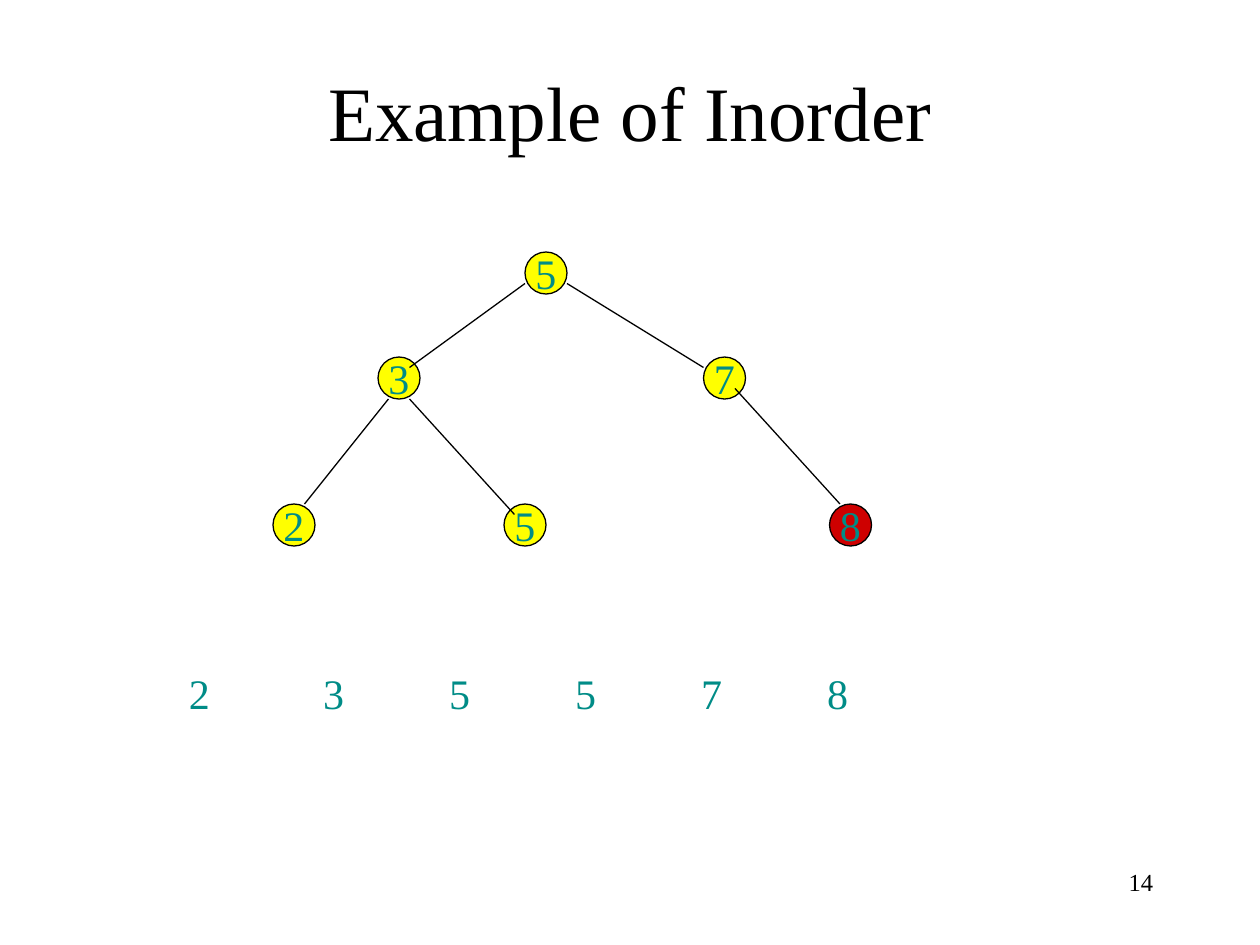
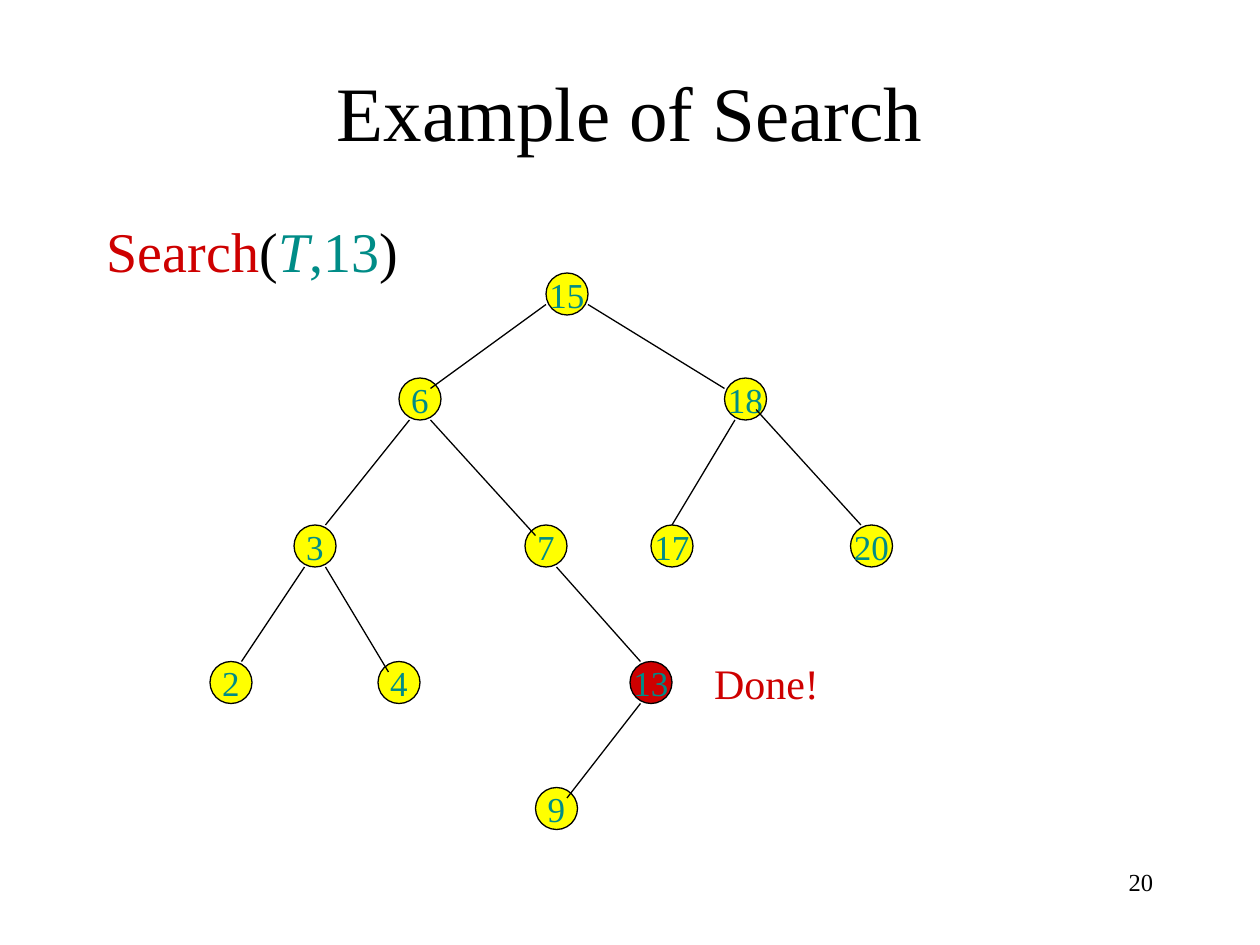
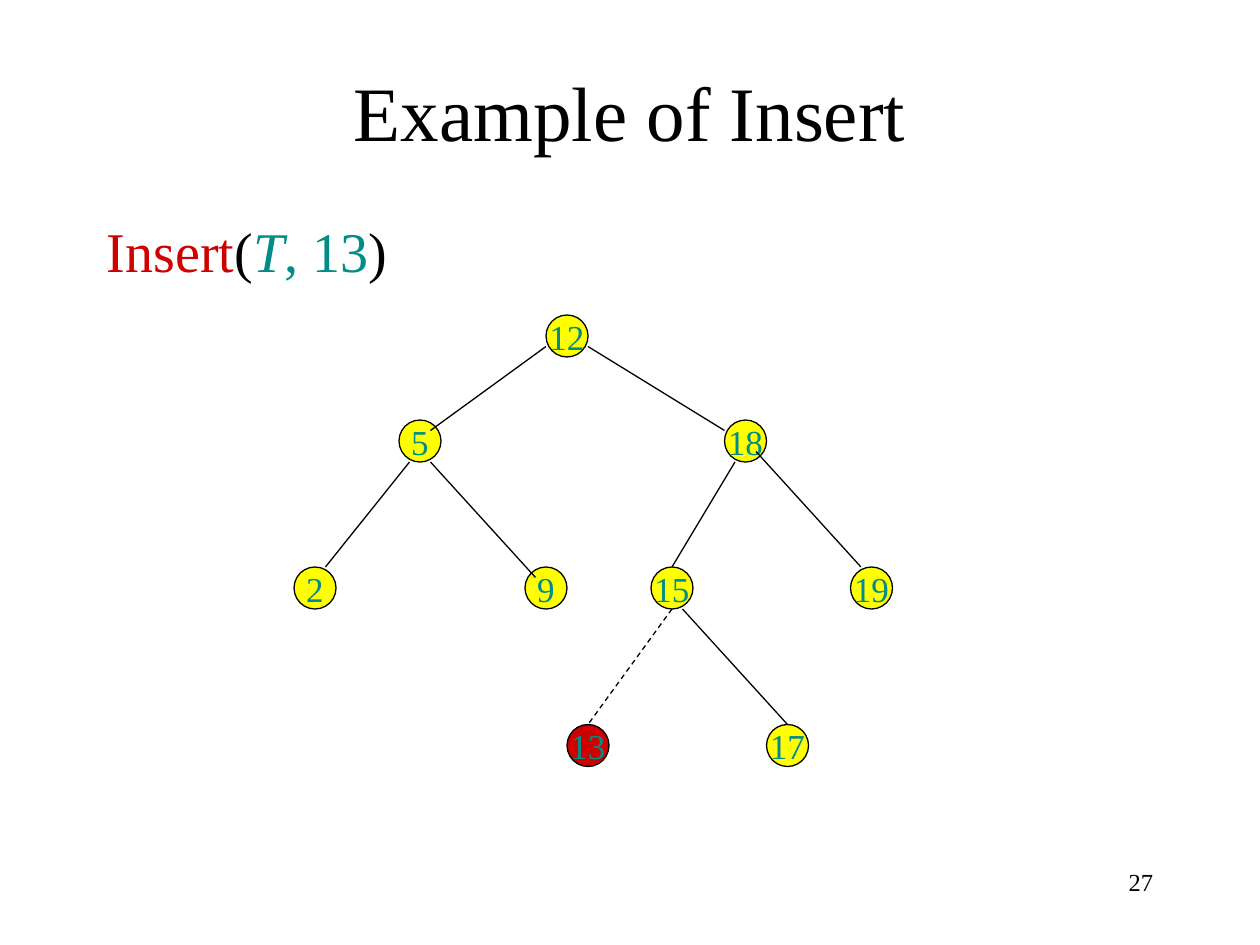
"""Build three slides that show operations on binary search trees."""
from dataclasses import dataclass, field
from typing import NamedTuple

from lxml.etree import SubElement
from pptx import Presentation
from pptx.dml.color import RGBColor
from pptx.enum.dml import MSO_LINE_DASH_STYLE as Dash
from pptx.enum.shapes import MSO_CONNECTOR as Connector, MSO_SHAPE as Preset
from pptx.enum.text import MSO_ANCHOR as Anchor, PP_ALIGN as Align
from pptx.oxml.ns import qn
from pptx.util import Inches, Pt

FONT = "Times New Roman"
BLACK, YELLOW, RED, TEAL = "000000", "FFFF00", "CE0000", "008C87"
UNITS_PER_INCH = 12
NODE_SIZE = 4
LINE_WIDTH = 0.75


class Point(NamedTuple):
    """A column and a row on the grid."""
    column: float
    row: float


class Box(NamedTuple):
    """A rectangle on the grid."""
    column: float
    row: float
    columns: float
    rows: float


class Span(NamedTuple):
    """A piece of text in one style."""
    text: str
    color: str = BLACK
    italic: bool = False


class Edge(NamedTuple):
    """A line to a node from its parent, measured from the root."""
    start: Point
    end: Point


class Slot(NamedTuple):
    """A node's place, measured from the root, and the edge to it."""
    place: Point
    edge: Edge | None = None


@dataclass
class Tree:
    """The keys in the slots of a tree and how they are drawn."""
    root: Point
    font_size: int
    keys: dict[str, int]
    marked: str
    dashed: str = ""


@dataclass
class Label:
    """A short text beside or below the tree."""
    text: str
    box: Box
    color: str = TEAL


@dataclass
class TreeSlide:
    """The content of one slide."""
    title: str
    number: int
    tree: Tree
    call: list[Span] = field(default_factory=list)
    labels: list[Label] = field(default_factory=list)


TITLE_BOX = Box(9, 3, 102, 15)
CALL_BOX = Box(9, 20, 102, 60)
NUMBER_BOX = Box(86, 82, 25, 6)


def slot(place: tuple, start: tuple, end: tuple) -> Slot:
    """Return a slot below the root with its edge."""
    return Slot(Point(*place), Edge(Point(*start), Point(*end)))


SLOTS = {
    "root": Slot(Point(0, 0)),
    "left": slot((-14, 10), (0, 3), (-11, 11)),
    "right": slot((17, 10), (4, 3), (17, 11)),
    "left.left": slot((-24, 24), (-13, 14), (-21, 24)),
    "left.right": slot((-2, 24), (-11, 14), (-1, 25)),
    "right.left": slot((10, 24), (18, 14), (12, 24)),
    "right.right": slot((29, 24), (20, 13), (30, 24)),
    "left.left.left": slot((-32, 37), (-23, 28), (-29, 37)),
    "left.left.right": slot((-16, 37), (-21, 28), (-15, 38)),
    "left.right.right": slot((8, 37), (1, 28), (9, 37)),
    "left.right.right.left": slot((-1, 49), (9, 41), (2, 50)),
    "right.left.left": slot((2, 39), (12, 28), (4, 39)),
    "right.left.right": slot((21, 39), (13, 28), (23, 39)),
}


def visit_labels(keys: list[int]) -> list[Label]:
    """Return the visited keys in a row below the tree."""
    columns = [16.8] + [29.6 + 12 * index for index in range(len(keys) - 1)]
    return [Label(str(key), Box(column, 63, 4.3, 6)) for key, column in zip(keys, columns)]


def call_spans(name: str, key: str) -> list[Span]:
    """Return the coloured parts of an operation's call."""
    return [Span(name, RED), Span("("), Span("T", TEAL, True), Span(key, TEAL), Span(")")]


SLIDES = [
    TreeSlide(
        "Example of Inorder", 14,
        Tree(Point(50, 24), 24,
             {"root": 5, "left": 3, "right": 7, "left.left": 2, "left.right": 5, "right.right": 8},
             marked="right.right"),
        labels=visit_labels([2, 3, 5, 5, 7, 8]),
    ),
    TreeSlide(
        "Example of Search", 20,
        Tree(Point(52, 26), 20,
             {"root": 15, "left": 6, "right": 18, "left.left": 3, "left.right": 7,
              "right.left": 17, "right.right": 20, "left.left.left": 2, "left.left.right": 4,
              "left.right.right": 13, "left.right.right.left": 9},
             marked="left.right.right"),
        call_spans("Search", ",13"),
        [Label("Done!", Box(66.8, 62, 12.4, 6), RED)],
    ),
    TreeSlide(
        "Example of Insert", 27,
        Tree(Point(52, 30), 20,
             {"root": 12, "left": 5, "right": 18, "left.left": 2, "left.right": 9,
              "right.left": 15, "right.right": 19, "right.left.left": 13, "right.left.right": 17},
             marked="right.left.left", dashed="right.left.left"),
        call_spans("Insert", ", 13"),
    ),
]


def color_of(value: str) -> RGBColor:
    """Turn a hex string into a colour."""
    return RGBColor.from_string(value)


def lengths(*units: float) -> list[int]:
    """Turn grid units into slide lengths."""
    return [Inches(unit / UNITS_PER_INCH) for unit in units]


def shifted(point: Point, origin: Point) -> Point:
    """Return a point measured from the slide's corner."""
    return Point(origin.column + point.column, origin.row + point.row)


def write(shape, spans: list[Span], size: int, align: Align, anchor: Anchor, wrap: bool) -> None:
    """Write one paragraph of styled text into a shape."""
    frame = shape.text_frame
    frame.word_wrap = wrap
    frame.vertical_anchor = anchor
    paragraph = frame.paragraphs[0]
    paragraph.alignment = align
    for span in spans:
        run = paragraph.add_run()
        run.text = span.text
        run.font.name = FONT
        run.font.size = Pt(size)
        run.font.italic = span.italic
        run.font.color.rgb = color_of(span.color)


def add_text(slide, box: Box, spans: list[Span], size: int, align: Align = Align.CENTER,
             anchor: Anchor = Anchor.TOP, wrap: bool = True) -> None:
    """Add a text box."""
    write(slide.shapes.add_textbox(*lengths(*box)), spans, size, align, anchor, wrap)


def add_node(slide, place: Point, key: int, size: int, fill: str):
    """Add a round node with its key and return it."""
    node = slide.shapes.add_shape(Preset.OVAL, *lengths(*place, NODE_SIZE, NODE_SIZE))
    node.shadow.inherit = False
    node.fill.solid()
    node.fill.fore_color.rgb = color_of(fill)
    node.line.color.rgb = color_of(BLACK)
    node.line.width = Pt(LINE_WIDTH)
    write(node, [Span(str(key), TEAL)], size, Align.CENTER, Anchor.MIDDLE, False)
    return node


def add_edge(slide, start: Point, end: Point, dashed: bool):
    """Add a straight edge and return it."""
    edge = slide.shapes.add_connector(Connector.STRAIGHT, *lengths(*start, *end))
    edge.line.color.rgb = color_of(BLACK)
    edge.line.width = Pt(LINE_WIDTH)
    if dashed:
        edge.line.dash_style = Dash.DASH
    SubElement(edge._element.spPr, qn("a:effectLst"))
    return edge


def draw_tree(slide, tree: Tree) -> None:
    """Draw the nodes of a tree and then its edges."""
    nodes = {}
    for name, key in tree.keys.items():
        fill = RED if name == tree.marked else YELLOW
        place = shifted(SLOTS[name].place, tree.root)
        nodes[name] = add_node(slide, place, key, tree.font_size, fill)
    for name, node in nodes.items():
        place, line = SLOTS[name]
        if line is None:
            continue
        edge = add_edge(slide, shifted(line.start, tree.root), shifted(line.end, tree.root),
                        name == tree.dashed)
        if line.end == shifted(Point(NODE_SIZE / 2, 0), place):
            edge.end_connect(node, 0)


def draw_slide(presentation, content: TreeSlide) -> None:
    """Add one slide with its title, number, call, tree and labels."""
    slide = presentation.slides.add_slide(presentation.slide_layouts[6])
    add_text(slide, NUMBER_BOX, [Span(str(content.number))], 14, Align.RIGHT)
    add_text(slide, TITLE_BOX, [Span(content.title)], 44, anchor=Anchor.MIDDLE)
    if content.call:
        add_text(slide, CALL_BOX, content.call, 32, Align.LEFT)
    draw_tree(slide, content.tree)
    for label in content.labels:
        add_text(slide, label.box, [Span(label.text, label.color)], 24, wrap=False)


def main() -> None:
    """Build and save the presentation."""
    presentation = Presentation()
    presentation.slide_width, presentation.slide_height = lengths(120, 90)
    for content in SLIDES:
        draw_slide(presentation, content)
    presentation.save("out.pptx")


if __name__ == "__main__":
    main()
